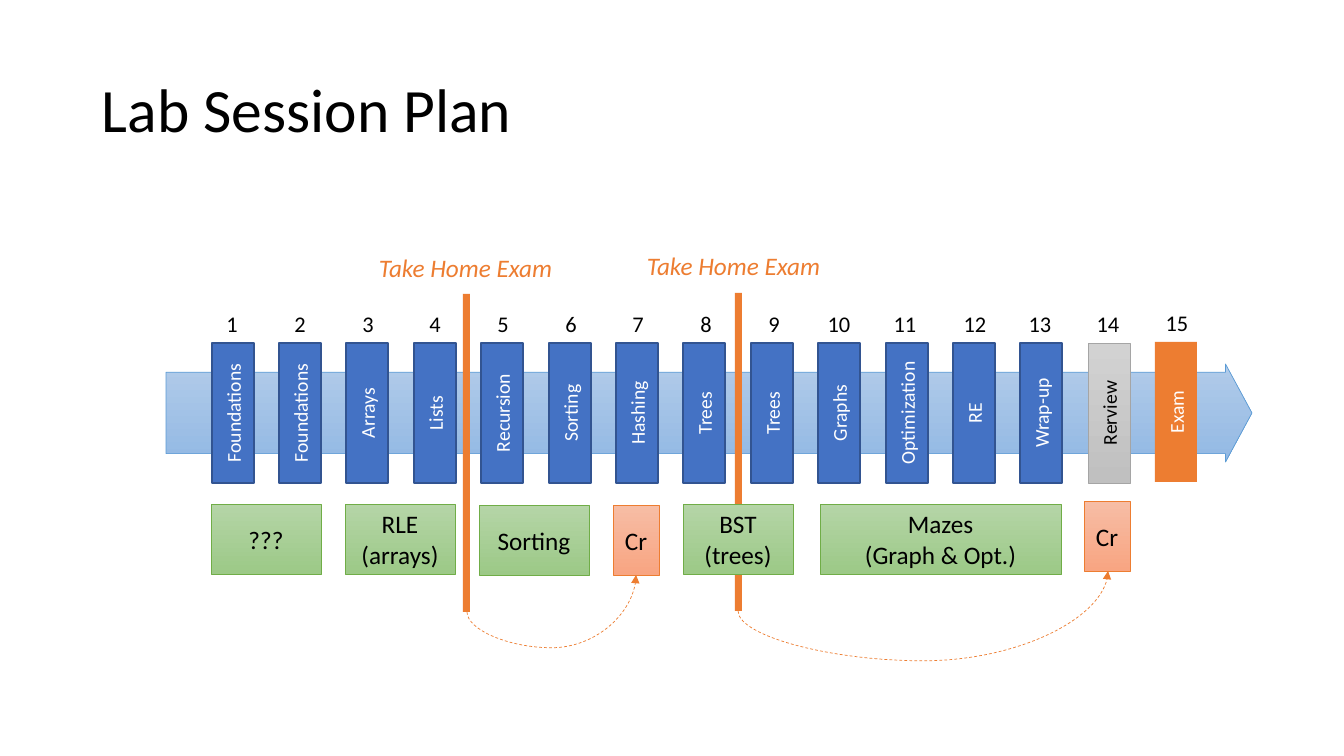
from lxml import etree
from pptx import Presentation
from pptx.dml.color import RGBColor
from pptx.enum import dml, shapes, text
from pptx.oxml import ns
from pptx import util as u

SCALE = 914400 / 100.8
FONT = "Calibri"
BLACK = RGBColor(0, 0, 0)
WHITE = RGBColor(255, 255, 255)
BLUE = RGBColor(0x44, 0x72, 0xC4)
NAVY = RGBColor(0x32, 0x54, 0x91)
SKY = RGBColor(0x5B, 0x9B, 0xD5)
ORANGE = RGBColor(0xED, 0x7D, 0x31)
GREEN = RGBColor(0x70, 0xAD, 0x47)
GRAY = RGBColor(0xA5, 0xA5, 0xA5)
SKIES = RGBColor(0xB1, 0xCB, 0xE9), RGBColor(0x93, 0xB9, 0xE4)
GRAYS = RGBColor(0xD2, 0xD2, 0xD2), RGBColor(0xC0, 0xC0, 0xC0)
GREENS = RGBColor(0xB5, 0xD5, 0xA7), RGBColor(0x9C, 0xC9, 0x87)
PEACH = RGBColor(0xF7, 0xBD, 0xA5), RGBColor(0xF8, 0xA5, 0x82)

WEEKS = [
    ("Foundations", 232), ("Foundations", 300), ("Arrays", 368),
    ("Lists", 435), ("Recursion", 503), ("Sorting", 571),
    ("Hashing", 638), ("Trees", 706), ("Trees", 774),
    ("Graphs", 839), ("Optimization", 905), ("RE", 975),
    ("Wrap-up", 1040), ("Rerview", 1108), ("Exam", 1177),
]
LABS = [
    ("???", 211, 504, 110), ("Mazes\n(Graph & Opt.)", 820, 504, 241),
    ("RLE\v(arrays)", 345, 504, 110), ("BST\n(trees)", 683, 504, 110),
    ("Sorting", 479, 505, 110),
]
CREDITS = [(613, 505), (1084, 501)]
EXAMS = [(463, 294, 369, 247), (735, 293, 637, 245)]
LINKS = [(467, 612, 636, 575, -96900), (738, 611, 1108, 571, -124800)]


def px(*sizes):
    """Turn pixels into EMU."""
    return [u.Emu(round(size * SCALE)) for size in sizes]


def write(frame, words, size, color, align=None, italic=None):
    """Fill a text frame with words in one style."""
    frame.text = words
    for para in frame.paragraphs:
        para.alignment = align
        font = para.font
        font.name, font.size, font.italic = FONT, u.Pt(size), italic
        font.color.rgb = color


def label(slide, box, words, size, color=BLACK, align=None, italic=None):
    """Add an unwrapped text box."""
    frame = slide.shapes.add_textbox(*px(*box)).text_frame
    frame.word_wrap = False
    write(frame, words, size, color, align, italic)
    return frame


def block(slide, box, fill, edge=None, width=0.5,
          kind=shapes.MSO_SHAPE.RECTANGLE):
    """Add a shape with a plain or two-colour fill."""
    shape = slide.shapes.add_shape(kind, *px(*box))
    shape.shadow.inherit = False
    if isinstance(fill, RGBColor):
        shape.fill.solid()
        shape.fill.fore_color.rgb = fill
    else:
        shape.fill.gradient()
        shape.fill.gradient_angle = 270
        for stop, color in zip(shape.fill.gradient_stops, fill):
            stop.color.rgb = color
    if edge is None:
        shape.line.fill.background()
    else:
        shape.line.color.rgb = edge
        shape.line.width = u.Pt(width)
    return shape


def fit(shape, words, size, color):
    """Centre words inside a shape."""
    frame = shape.text_frame
    frame.vertical_anchor = text.MSO_ANCHOR.MIDDLE
    write(frame, words, size, color, text.PP_ALIGN.CENTER)
    return frame


def week(slide, index, topic, mid):
    """Add one numbered week with its upright topic."""
    left, top, ink = 212 + index * 337 // 5, 343, WHITE
    look = BLUE, NAVY, 1
    if topic == "Rerview":
        look, ink = (GRAYS, GRAY), BLACK
    elif topic == "Exam":
        look, top = (ORANGE,), 342
    bar = block(slide, (left, top, 42, 140), *look)
    frame = fit(bar, topic, 14, ink)
    frame._txBody.bodyPr.set("vert", "vert270")
    wide = 32 if index < 9 else 43
    box = mid - wide / 2, top - 38, wide, 37
    label(slide, box, str(index + 1), 16, align=text.PP_ALIGN.CENTER)


def link(slide, left, low, right, high, bend):
    """Add a dashed curve that sags from an exam to its credit."""
    midx, midy = (left + right) / 2, (low + high) / 2
    dx, dy = (low - high) / 2, (right - left) / 2
    line = slide.shapes.add_connector(
        shapes.MSO_CONNECTOR.CURVE,
        *px(midx + dx, midy + dy, midx - dx, midy - dy))
    line.line.color.rgb = ORANGE
    line.line.width = u.Pt(0.5)
    line.line.dash_style = dml.MSO_LINE.DASH
    props = line._element.spPr
    props.find(ns.qn("a:xfrm")).set("rot", "5400000")
    guides = props.find(ns.qn("a:prstGeom")).find(ns.qn("a:avLst"))
    etree.SubElement(guides, ns.qn("a:gd"), name="adj1", fmla=f"val {bend}")
    edge = props.find(ns.qn("a:ln"))
    etree.SubElement(edge, ns.qn("a:tailEnd"), type="triangle")
    etree.SubElement(props, ns.qn("a:effectLst"))


def main():
    """Build the lab plan slide."""
    deck = Presentation()
    deck.slide_width, deck.slide_height = px(1344, 756)
    slide = deck.slides.add_slide(deck.slide_layouts[6])

    title = label(slide, (92, 40, 1159, 146), "Lab Session Plan", 44)
    title.word_wrap = True
    title.vertical_anchor = text.MSO_ANCHOR.MIDDLE
    title.paragraphs[0].line_spacing = 0.9

    arrow = block(slide, (166, 364, 1086, 98), SKIES, SKY,
                  kind=shapes.MSO_SHAPE.RIGHT_ARROW)
    arrow.adjustments[0], arrow.adjustments[1] = 0.83, 0.27
    for index, (topic, mid) in enumerate(WEEKS):
        week(slide, index, topic, mid)
    for left, top, start, head in EXAMS:
        block(slide, (left, top, 7, 318), ORANGE)
        label(slide, (start, head, 196, 40), "Take Home Exam", 18, ORANGE,
              italic=True)
    for words, left, top, wide in LABS:
        lab = block(slide, (left, top, wide, 70), GREENS, GREEN)
        fit(lab, words, 18, BLACK)
    for left, top in CREDITS:
        credit = block(slide, (left, top, 46, 70), PEACH, ORANGE)
        fit(credit, "Cr", 18, BLACK)
    for ends in LINKS:
        link(slide, *ends)
    deck.save("out.pptx")


main()
